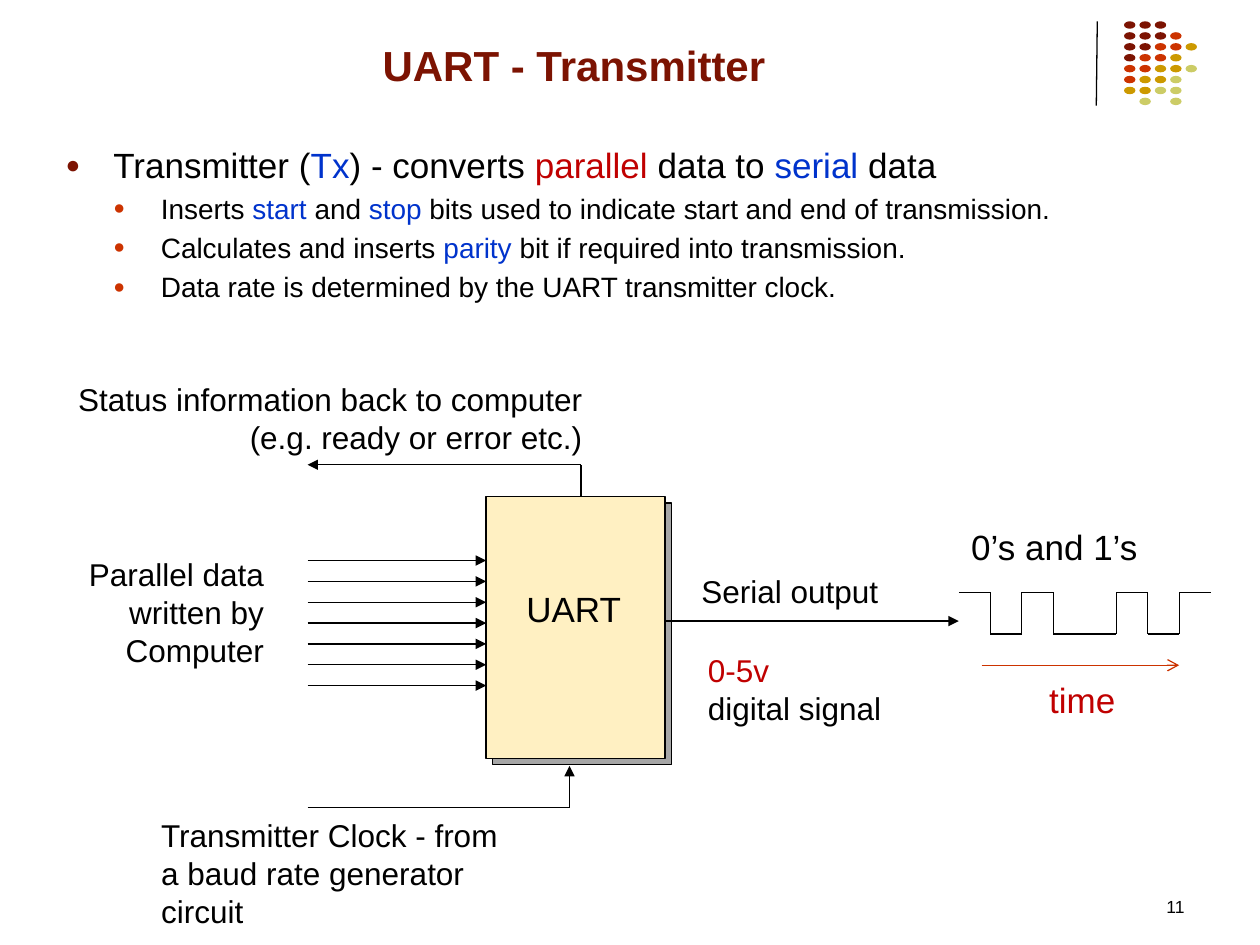
from dataclasses import dataclass

from lxml.etree import SubElement
from pptx import Presentation
from pptx.dml.color import RGBColor
from pptx.enum.shapes import MSO_CONNECTOR as Connector, MSO_SHAPE as Preset
from pptx.enum.text import MSO_ANCHOR as Anchor, MSO_AUTO_SIZE as AutoSize, PP_ALIGN as Align
from pptx.oxml.ns import qn
from pptx.util import Cm, Pt


@dataclass(frozen=True)
class Theme:
    font: str = "Arial"
    black: str = "000000"
    maroon: str = "7C1302"
    orange: str = "CC3300"
    gold: str = "CC9900"
    lime: str = "CCCC66"
    blue: str = "0033CC"
    red: str = "C00000"
    cream: str = "FFF0C2"
    gray: str = "A6A6A6"
    title: int = 24
    large: int = 20
    label: int = 18
    detail: int = 16
    number: int = 10
    line: float = 0.75


THEME = Theme()


def rgb(color):
    return RGBColor.from_string(color)


def write(paragraph, text, size=THEME.label, color=THEME.black, bold=False, align=Align.LEFT):
    """Fill a paragraph from a string or from (string, colour) pairs; a lone newline breaks the line."""
    paragraph.alignment = align
    for words, tint in [(text, color)] if isinstance(text, str) else text:
        if words == "\n":
            paragraph.add_line_break()
            continue
        run = paragraph.add_run()
        run.text = words
        run.font.name = THEME.font
        run.font.size = Pt(size)
        run.font.bold = bold
        run.font.color.rgb = rgb(tint)


def place(shape, left, top, width, height):
    shape.left, shape.top, shape.width, shape.height = map(Cm, (left, top, width, height))


def add_label(slide, box, text, **style):
    frame = slide.shapes.add_textbox(*map(Cm, box)).text_frame
    frame.word_wrap = True
    write(frame.paragraphs[0], text, **style)


def add_block(slide, preset, box, fill, outline=None):
    shape = slide.shapes.add_shape(preset, *map(Cm, box))
    shape.shadow.inherit = False
    shape.fill.solid()
    shape.fill.fore_color.rgb = rgb(fill)
    if outline:
        shape.line.color.rgb = rgb(outline)
        shape.line.width = Pt(THEME.line)
    else:
        shape.line.fill.background()


def add_line(slide, start, end, color=THEME.black, arrow=None):
    connector = slide.shapes.add_connector(Connector.STRAIGHT, *map(Cm, start + end))
    connector.line.color.rgb = rgb(color)
    connector.line.width = Pt(THEME.line)
    properties = connector.element.spPr
    if arrow:
        SubElement(properties.find(qn("a:ln")), qn("a:tailEnd"), type=arrow)
    SubElement(properties, qn("a:effectLst"))


def add_route(slide, points, arrow=None):
    """Join points by straight lines, with the arrowhead on the last one."""
    legs = [leg for leg in zip(points, points[1:]) if leg[0] != leg[1]]
    for leg in legs:
        add_line(slide, *leg, arrow=arrow if leg == legs[-1] else None)


def set_bullet(paragraph, level, color):
    paragraph.level = level
    properties = paragraph._p.get_or_add_pPr()
    properties.set("marL", str(Cm(0.96 * (level + 1))))
    properties.set("indent", str(Cm(-0.96)))
    tint = SubElement(properties, qn("a:buClr"))
    SubElement(tint, qn("a:srgbClr"), val=color)
    SubElement(properties, qn("a:buSzPct"), val="70000")
    SubElement(properties, qn("a:buFont"), typeface=THEME.font)
    SubElement(properties, qn("a:buChar"), char="●")


def add_title(slide):
    title = slide.shapes.title
    place(title, 1.09, 0.53, 20.96, 1.4)
    title.text_frame.vertical_anchor = Anchor.BOTTOM
    title.text_frame.auto_size = AutoSize.NONE
    write(title.text_frame.paragraphs[0], "UART - Transmitter", size=THEME.title,
          color=THEME.maroon, bold=True, align=Align.CENTER)


def add_body(slide):
    black, blue = THEME.black, THEME.blue
    items = [
        (0, [("Transmitter (", black), ("Tx", blue), (") - converts ", black),
             ("parallel ", THEME.red), ("data to ", black), ("serial ", blue), ("data", black)]),
        (1, [("Inserts ", black), ("start", blue), (" and ", black), ("stop", blue),
             (" bits used to indicate start and end of transmission.", black)]),
        (1, [("Calculates and inserts ", black), ("parity", blue),
             (" bit if required into transmission.", black)]),
        (1, "Data rate is determined by the UART transmitter clock."),
    ]
    body = slide.placeholders[1]
    place(body, 1.07, 2.77, 23.11, 4.17)
    frame = body.text_frame
    frame.auto_size = AutoSize.NONE
    for index, (level, text) in enumerate(items):
        paragraph = frame.add_paragraph() if index else frame.paragraphs[0]
        size = (THEME.large, THEME.detail)[level]
        write(paragraph, text, size=size)
        paragraph.space_before = Pt(0.2 * size)
        set_bullet(paragraph, level, (THEME.maroon, THEME.orange)[level])


def add_dot_pattern(slide):
    colors = {"m": THEME.maroon, "o": THEME.orange, "g": THEME.gold, "l": THEME.lime}
    rows = ["mmm", "mmmo", "mmoog", "moog", "ooggl", "oggl", "ggll", " l l"]
    add_line(slide, (22.12, 0.43), (22.1, 2.13))
    for row, dots in enumerate(rows):
        for column, dot in enumerate(dots):
            if dot in colors:
                box = (22.66 + 0.31 * column, 0.43 + 0.22 * row, 0.23, 0.15)
                add_block(slide, Preset.OVAL, box, colors[dot])


def add_uart(slide):
    left, top, width, height, offset = 9.8, 10.01, 3.61, 5.28, 0.13
    add_block(slide, Preset.RECTANGLE, (left + offset, top + offset, width, height),
              THEME.gray, THEME.black)
    add_block(slide, Preset.RECTANGLE, (left, top, width, height), THEME.cream, THEME.black)
    add_label(slide, (10.36, 11.71, 2.46, 1.12), "UART", size=THEME.large)
    for bit in range(7):
        y = 11.3 + 0.42 * bit
        add_line(slide, (6.2, y), (left, y), arrow="triangle")
    add_line(slide, (13.39, 12.52), (19.33, 12.52), arrow="triangle")
    add_route(slide, [(6.2, 16.28), (11.48, 16.28), (11.48, 15.44)], arrow="triangle")
    add_route(slide, [(11.71, top), (11.71, 9.37), (6.2, 9.37)], arrow="triangle")


def add_waveform(slide):
    bits, left, width = "10100101", 19.33, 5.08
    heights = {"0": 12.78, "1": 11.94}
    points = []
    for index, bit in enumerate(bits):
        points += [(left + width * edge / len(bits), heights[bit]) for edge in (index, index + 1)]
    add_route(slide, points)
    add_line(slide, (19.79, 13.41), (23.77, 13.41), color=THEME.orange, arrow="arrow")


def add_labels(slide):
    add_label(slide, (1.07, 7.54, 10.92, 1.8),
              "Status information back to computer (e.g. ready or error etc.)", align=Align.RIGHT)
    add_label(slide, (1.07, 11.07, 4.5, 2.57), "Parallel data written by Computer", align=Align.RIGHT)
    add_label(slide, (3, 16.33, 7.62, 2.57), "Transmitter Clock - from a baud rate generator circuit")
    add_label(slide, (13.89, 11.4, 5.28, 1.02), "Serial output")
    add_label(slide, (14.02, 13, 5.31, 1.8),
              [("0-5v ", THEME.red), ("\n", THEME.red), ("digital signal", THEME.black)])
    add_label(slide, (19.33, 10.46, 4.62, 1.12), "0’s and 1’s", size=THEME.large)
    add_label(slide, (20.9, 13.56, 2.24, 1.12), "time", size=THEME.large, color=THEME.red)
    add_label(slide, (18.21, 17.93, 5.92, 0.71), "11", size=THEME.number, align=Align.RIGHT)


def main():
    presentation = Presentation()
    presentation.slide_width, presentation.slide_height = Cm(25.4), Cm(19.05)
    slide = presentation.slides.add_slide(presentation.slide_layouts[1])
    add_dot_pattern(slide)
    add_title(slide)
    add_body(slide)
    add_uart(slide)
    add_waveform(slide)
    add_labels(slide)
    presentation.save("out.pptx")


if __name__ == "__main__":
    main()
